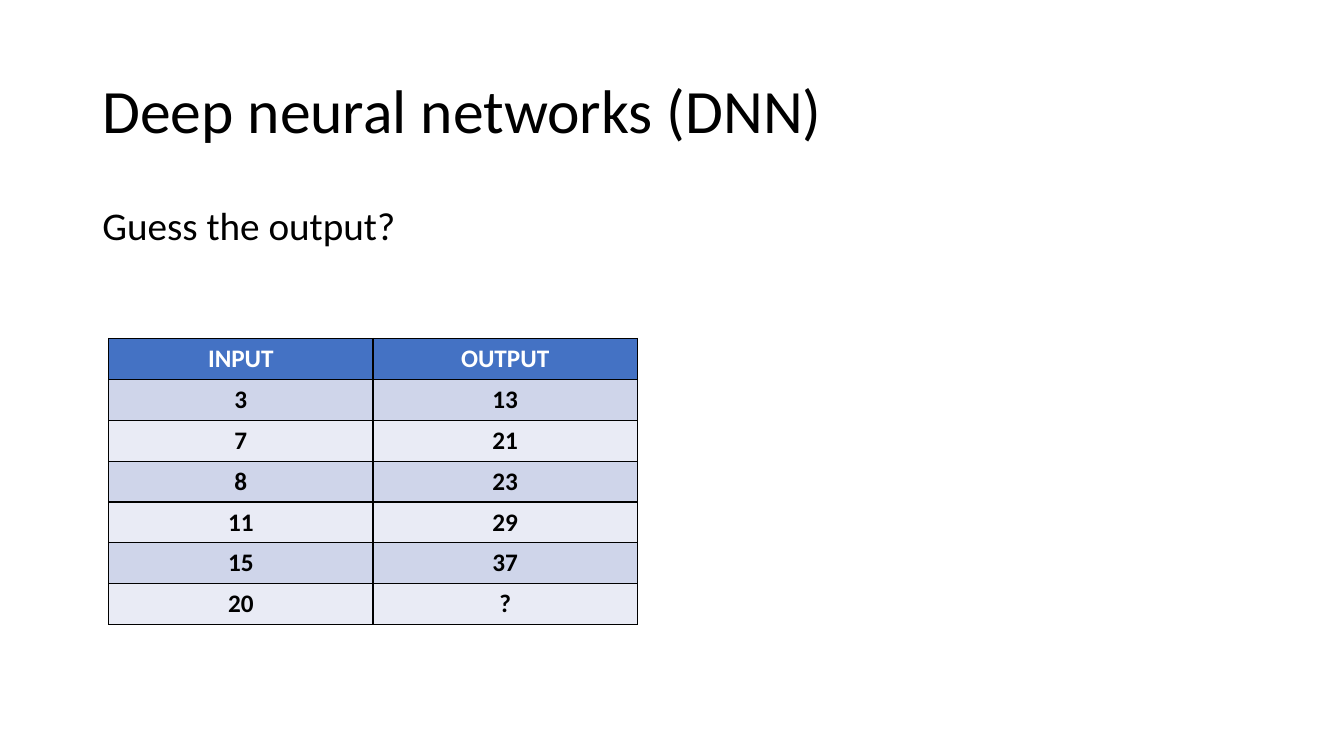
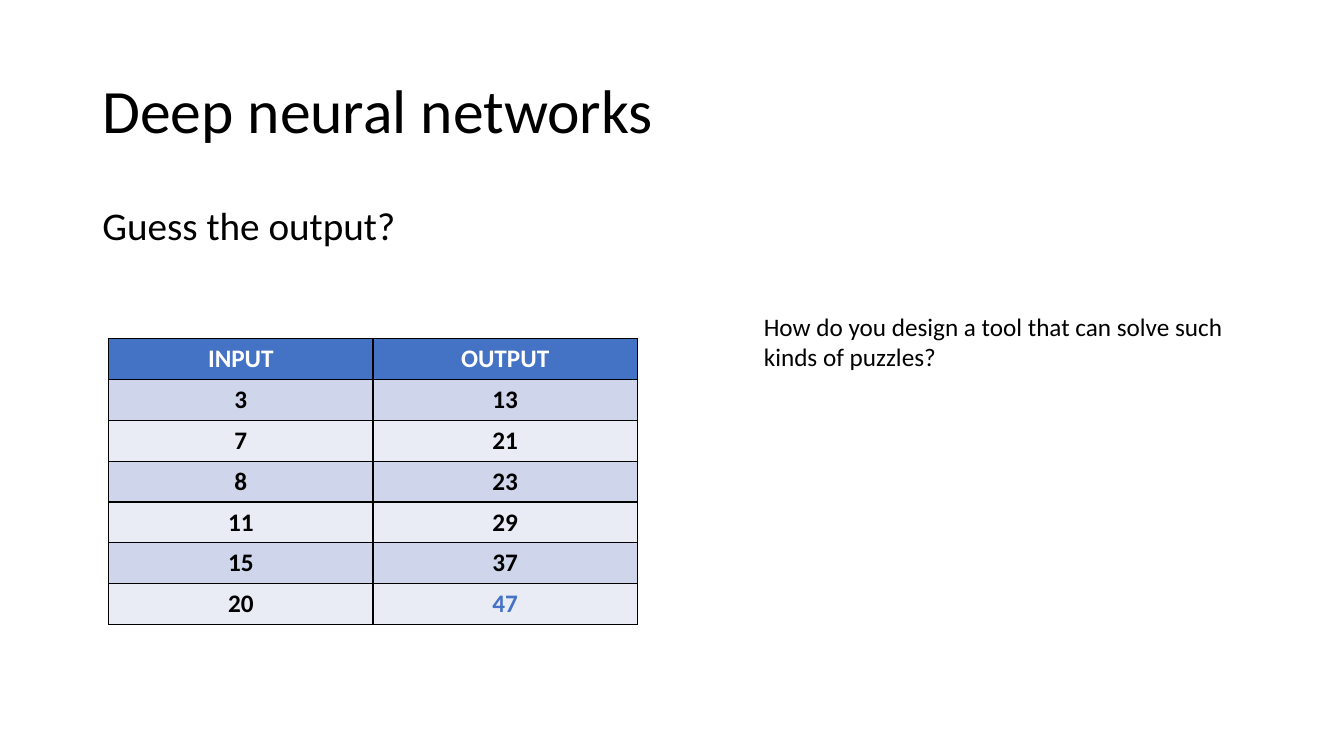
from lxml import etree
from pptx import Presentation
from pptx.dml.color import RGBColor
from pptx.enum.text import MSO_ANCHOR, PP_ALIGN
from pptx.oxml.ns import qn
from pptx.util import Cm, Pt

MIDDLE, TOP = MSO_ANCHOR.MIDDLE, MSO_ANCHOR.TOP
CENTER = PP_ALIGN.CENTER

FONT = "Calibri"
COLORS = {
    "text": "000000",
    "white": "FFFFFF",
    "accent": "4472C4",
    "dark": "CFD5EA",
    "light": "E9EBF5",
}

PROMPT = "Guess the output?"
HEADS = ("INPUT", "OUTPUT")
PAIRS = [("3", "13"), ("7", "21"), ("8", "23"), ("11", "29"), ("15", "37")]
LAST = "20"
SLIDES = [
    {"title": "Deep neural networks (DNN)", "answer": "?", "tint": "text"},
    {
        "title": "Deep neural networks",
        "answer": "47",
        "tint": "accent",
        "note": "How do you design a tool that can solve such kinds of puzzles?",
    },
]

# Left, top, width, height in centimetres
TITLE_BOX = (2.33, 1.01, 29.21, 3.68)
BODY_BOX = (2.33, 5.07, 29.21, 12.09)
NOTE_BOX = (19, 7.72, 12.95, 1.8)
GRID_LEFT, GRID_TOP = 2.74, 8.53
COL_WIDTH, ROW_HEIGHT = 6.66, 1.03


def rgb(name):
    return RGBColor.from_string(COLORS[name])


def style(par, size, color="text", bold=False):
    for run in par.runs:
        font = run.font
        font.name, font.size, font.bold = FONT, Pt(size), bold
        font.color.rgb = rgb(color)


def add_text(slide, box, text, size, anchor=TOP, spacing=1.0):
    frame = slide.shapes.add_textbox(*map(Cm, box)).text_frame
    frame.word_wrap = True
    frame.vertical_anchor = anchor
    par = frame.paragraphs[0]
    par.text = text
    par.line_spacing = spacing
    style(par, size)


def add_border(cell):
    props = cell._tc.get_or_add_tcPr()
    for side in ("lnL", "lnR", "lnT", "lnB"):
        line = etree.SubElement(props, qn("a:" + side), w=str(Pt(1)))
        fill = etree.SubElement(line, qn("a:solidFill"))
        etree.SubElement(fill, qn("a:srgbClr"), val=COLORS["text"])


def fill_cell(cell, text, back, color):
    add_border(cell)
    cell.fill.solid()
    cell.fill.fore_color.rgb = rgb(back)
    cell.text = text
    par = cell.text_frame.paragraphs[0]
    par.alignment = CENTER
    style(par, 18, color, bold=True)


def add_grid(slide, answer, tint):
    rows = [HEADS, *PAIRS, (LAST, answer)]
    count, cols = len(rows), len(HEADS)
    table = slide.shapes.add_table(
        count, cols, Cm(GRID_LEFT), Cm(GRID_TOP),
        Cm(cols * COL_WIDTH), Cm(count * ROW_HEIGHT),
    ).table
    for col in table.columns:
        col.width = Cm(COL_WIDTH)
    for r, row in enumerate(rows):
        table.rows[r].height = Cm(ROW_HEIGHT)
        back = "accent" if r == 0 else "dark" if r % 2 else "light"
        for c, text in enumerate(row):
            color = "white" if r == 0 else "text"
            if (r, c) == (count - 1, cols - 1):
                color = tint
            fill_cell(table.cell(r, c), text, back, color)


def add_slide(deck, data):
    slide = deck.slides.add_slide(deck.slide_layouts[6])
    add_text(slide, TITLE_BOX, data["title"], 44, MIDDLE, 0.9)
    add_text(slide, BODY_BOX, PROMPT, 28, spacing=0.9)
    add_grid(slide, data["answer"], data["tint"])
    if "note" in data:
        add_text(slide, NOTE_BOX, data["note"], 18)


def main():
    deck = Presentation()
    deck.slide_width, deck.slide_height = Cm(33.87), Cm(19.05)
    for data in SLIDES:
        add_slide(deck, data)
    deck.save("out.pptx")


if __name__ == "__main__":
    main()
